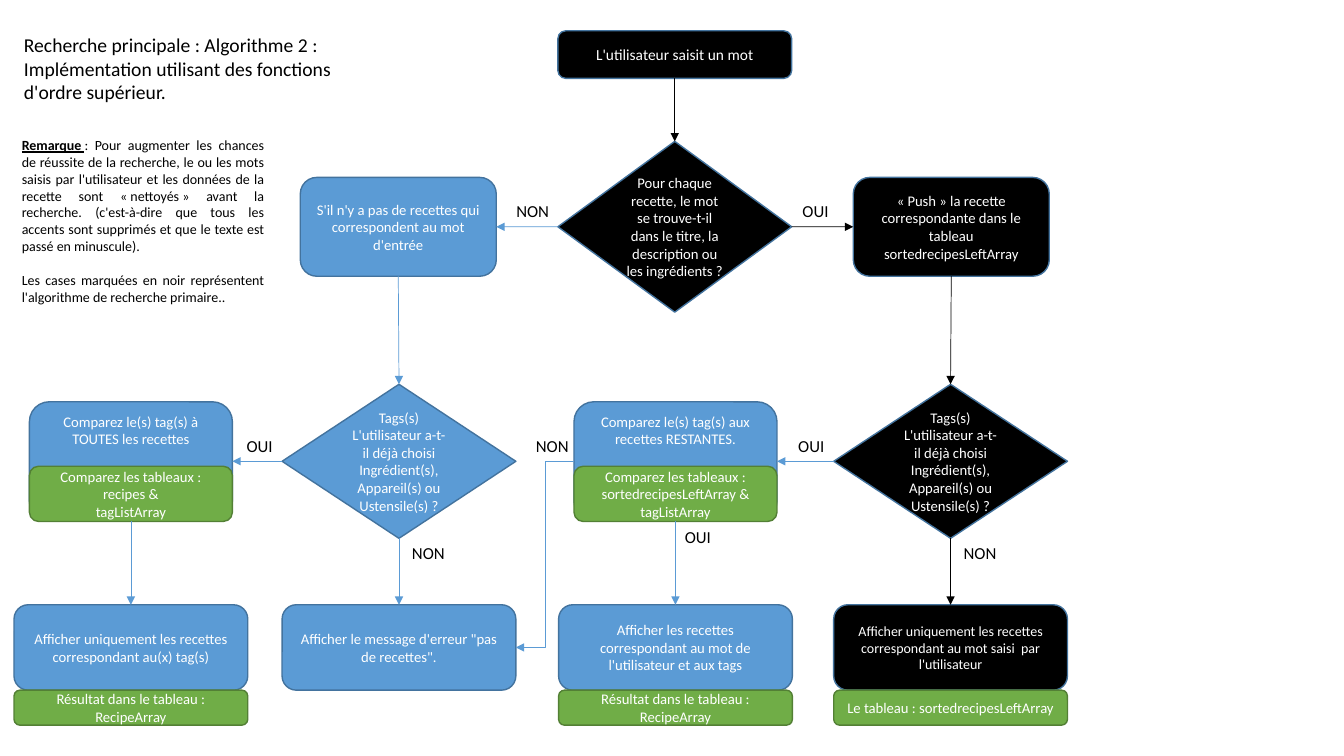
import pptx
import pptx.util
import pptx.dml.color
import pptx.enum.shapes
import pptx.enum.text
import lxml.etree

Pt = pptx.util.Pt
RGBColor = pptx.dml.color.RGBColor
Kind = pptx.enum.shapes.MSO_SHAPE
Wire = pptx.enum.shapes.MSO_CONNECTOR
Align = pptx.enum.text.PP_ALIGN
Anchor = pptx.enum.text.MSO_ANCHOR

BLACK = RGBColor(0x00, 0x00, 0x00)
WHITE = RGBColor(0xFF, 0xFF, 0xFF)
BLUE = RGBColor(0x5B, 0x9B, 0xD5)
NAVY = RGBColor(0x43, 0x73, 0x9E)
GREEN = RGBColor(0x70, 0xAD, 0x47)
MOSS = RGBColor(0x53, 0x80, 0x35)
NS = "http://schemas.openxmlformats.org/drawingml/2006/main"
TOP, LEFT, BOTTOM, RIGHT = range(4)
ASK = ["Tags(s)", "L'utilisateur a-t-il déjà choisi",
       "Ingrédient(s), Appareil(s) ou Ustensile(s) ?"]


def write(frame, lines, size, color, align):
    """Fill a text frame with evenly styled paragraphs."""
    frame.word_wrap = True
    frame.text = "\n".join(lines)
    for para in frame.paragraphs:
        para.alignment = align
        font = para.font
        font.name, font.size, font.color.rgb = "Calibri", Pt(size), color


def node(slide, box, lines, fill, kind=Kind.ROUNDED_RECTANGLE, size=10.5,
         anchor=Anchor.MIDDLE):
    """Draw one filled step of the flow and return it."""
    shape = slide.shapes.add_shape(kind, *map(Pt, box))
    shape.shadow.inherit = False
    shape.fill.solid()
    shape.fill.fore_color.rgb = fill
    shape.line.color.rgb = MOSS if fill == GREEN else NAVY
    shape.line.width = Pt(1)
    write(shape.text_frame, lines, size, WHITE, Align.CENTER)
    shape.text_frame.vertical_anchor = anchor
    return shape


def text(slide, box, lines, size, align):
    """Place a plain text box and return its frame."""
    frame = slide.shapes.add_textbox(*map(Pt, box)).text_frame
    write(frame, lines, size, BLACK, align)
    return frame


def label(slide, mid, top, word):
    """Place a branch label centred on mid."""
    text(slide, (mid - 20, top, 40, 21.6), [word], 12, Align.CENTER)


def link(slide, start, exit, end, entry, color, kind=Wire.STRAIGHT):
    """Join two steps with an arrow."""
    wire = slide.shapes.add_connector(kind, 0, 0, 0, 0)
    wire.begin_connect(start, exit)
    wire.end_connect(end, entry)
    wire.line.color.rgb = color
    wire.line.width = Pt(0.5)
    tail = lxml.etree.SubElement(wire.line._get_or_add_ln(), f"{{{NS}}}tailEnd")
    tail.set("type", "triangle")
    lxml.etree.SubElement(wire._element.spPr, f"{{{NS}}}effectLst")


def notes(slide, box):
    """Place the heading and the remark below it."""
    x, y, w, h = box
    text(slide, (x, y, w, 58.3), [
        "Recherche principale : Algorithme 2 :",
        "Implémentation utilisant des fonctions d'ordre supérieur."],
        14, Align.LEFT)
    frame = text(slide, (x - 1.5, y + 74, 187.2, h - 74), [
        "", "Les cases marquées en noir représentent l'algorithme de "
        "recherche primaire.."], 10, Align.JUSTIFY)
    first, last = frame.paragraphs
    head = first.add_run()
    head.text = "Remarque\u00a0"
    head.font.bold = head.font.underline = True
    first.add_run().text = (
        ": Pour augmenter les chances de réussite de la recherche, le ou les "
        "mots saisis par l'utilisateur et les données de la recette sont "
        "«\u00a0nettoyés\u00a0» avant la recherche. (c'est-à-dire que tous les "
        "accents sont supprimés et que le texte est passé en minuscule).")
    last.space_before = Pt(12.2)


def search(slide, box):
    """Draw the word search and return its two outcomes."""
    x, y, w, h = box
    mid = x + w / 2
    line = y + h - 61
    side = 140
    entry = node(slide, (mid - 83.5, y, 167, 34),
                 ["L'utilisateur saisit un mot"], BLACK, size=11)
    test = node(slide, (mid - 83.5, line - 61, 167, 122), [
        "Pour chaque recette, le mot se trouve-t-il dans le titre, la "
        "description ou les ingrédients ?"], BLACK, Kind.DIAMOND)
    none = node(slide, (x, line - 35.3, side, 70.6), [
        "S'il n'y a pas de recettes qui correspondent au mot d'entrée"], BLUE)
    push = node(slide, (x + w - side, line - 35.3, side, 70.6), [
        "«\u00a0Push\u00a0»\u00a0la recette correspondante dans le tableau "
        "sortedrecipesLeftArray"], BLACK)
    link(slide, entry, BOTTOM, test, TOP, BLACK)
    link(slide, test, LEFT, none, RIGHT, BLUE)
    link(slide, test, RIGHT, push, LEFT, BLACK)
    label(slide, mid - 101.5, line - 22, "NON")
    label(slide, mid + 100.5, line - 22, "OUI")
    return none, push


def finish(slide, box, lines, fill, size, array):
    """Draw the last step of a column with its array strip."""
    x, y, w, h = box
    last = node(slide, (x, y + h - 86, w, 61), lines, fill, size=size)
    if array:
        node(slide, (x, y + h - 25, w, 25), [array], GREEN)
    return last


def choice(slide, box, fill, lines, size=10.5, array=None):
    """Draw a tag question column and return question and ending."""
    x, y, w, h = box
    test = node(slide, (x, y, w, 110), ASK, fill, Kind.DIAMOND)
    last = finish(slide, box, lines, fill, size, array)
    link(slide, test, BOTTOM, last, TOP, fill)
    label(slide, x + w / 2 + 21, y + 110, "NON")
    label(slide, x - 16, y + 33, "OUI")
    return test, last


def compare(slide, box, lines, arrays, ending):
    """Draw a tag comparison column and return the comparison."""
    x, y, w, h = box
    step = node(slide, (x + 11, y + 12.5, w - 22, 85), lines, BLUE,
                anchor=Anchor.TOP)
    node(slide, (x + 11, y + 58.5, w - 22, 39.5),
         ["Comparez les tableaux : " + arrays, "tagListArray"], GREEN)
    last = finish(slide, box, ending, BLUE, 10.5,
                  "Résultat dans le tableau : RecipeArray")
    link(slide, step, BOTTOM, last, TOP, BLUE)
    return step


def chart(slide, box):
    """Lay out the whole flow and join its regions."""
    x, y, w, h = box
    cols = [(x + dx, y + h - 243.5, 167, 243.5)
            for dx in (0, 191.5, 389, 585.5)]
    notes(slide, (x, y - 2, 239, 215))
    none, push = search(slide, (x + 204.5, y, 535, 201))
    whole = compare(slide, cols[0],
                    ["Comparez le(s) tag(s) à TOUTES les recettes"],
                    "recipes &",
                    ["Afficher uniquement les recettes correspondant au(x) "
                     "tag(s)"])
    blank, error = choice(slide, cols[1], BLUE, [
        "Afficher le message d'erreur \"pas de recettes\"."])
    rest = compare(slide, cols[2],
                   ["Comparez le(s) tag(s) aux recettes RESTANTES."],
                   "sortedrecipesLeftArray &",
                   ["Afficher les recettes correspondant au mot de "
                    "l'utilisateur et aux tags"])
    found, _ = choice(slide, cols[3], BLACK, [
        "Afficher uniquement les recettes correspondant au mot saisi  par "
        "l'utilisateur"], 10, "Le tableau : sortedrecipesLeftArray")
    link(slide, none, BOTTOM, blank, TOP, BLUE)
    link(slide, push, BOTTOM, found, TOP, BLACK)
    link(slide, blank, LEFT, whole, RIGHT, BLUE)
    link(slide, found, LEFT, rest, RIGHT, BLUE)
    link(slide, rest, LEFT, error, RIGHT, BLUE, Wire.ELBOW)
    left, top = cols[2][:2]
    label(slide, left - 4.5, top + 33.5, "NON")
    label(slide, left + 99.5, top + 98, "OUI")


deck = pptx.Presentation()
deck.slide_width, deck.slide_height = Pt(960), Pt(540)
chart(deck.slides.add_slide(deck.slide_layouts[6]), (10, 22, 752.5, 496))
deck.save("out.pptx")
